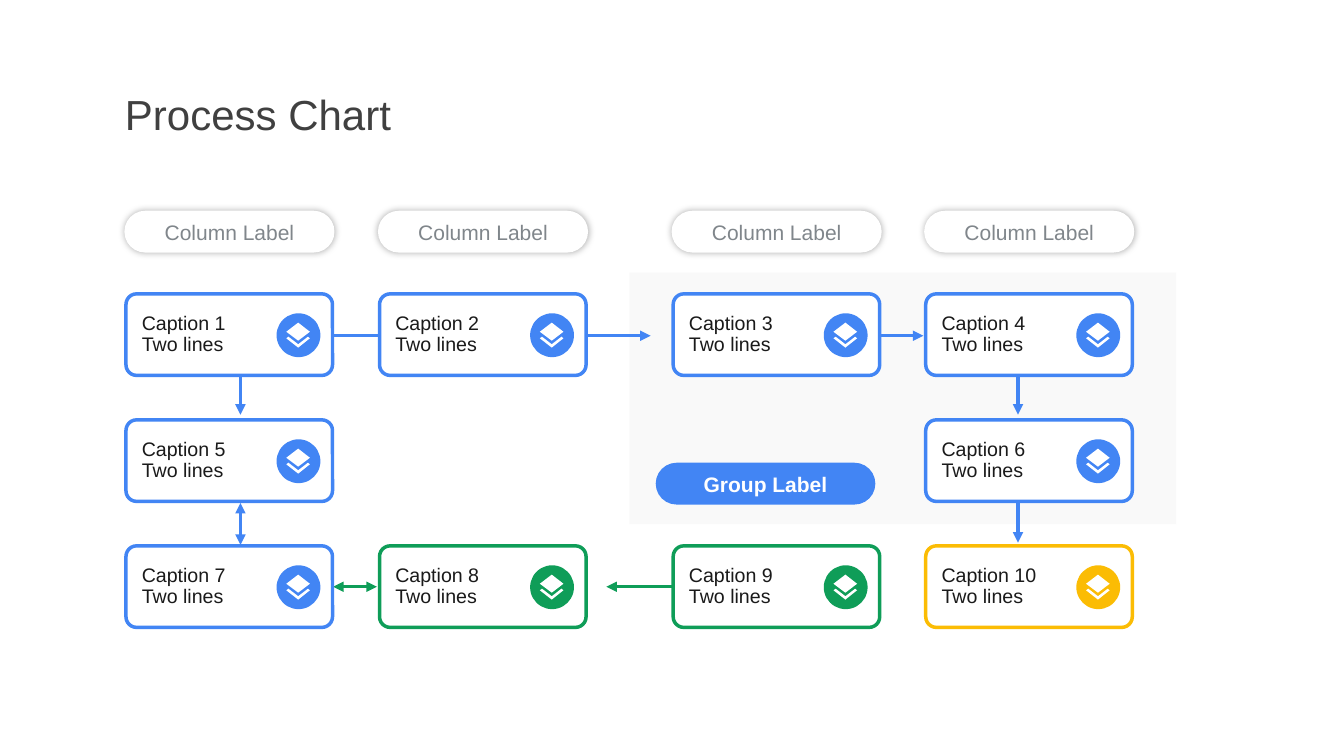
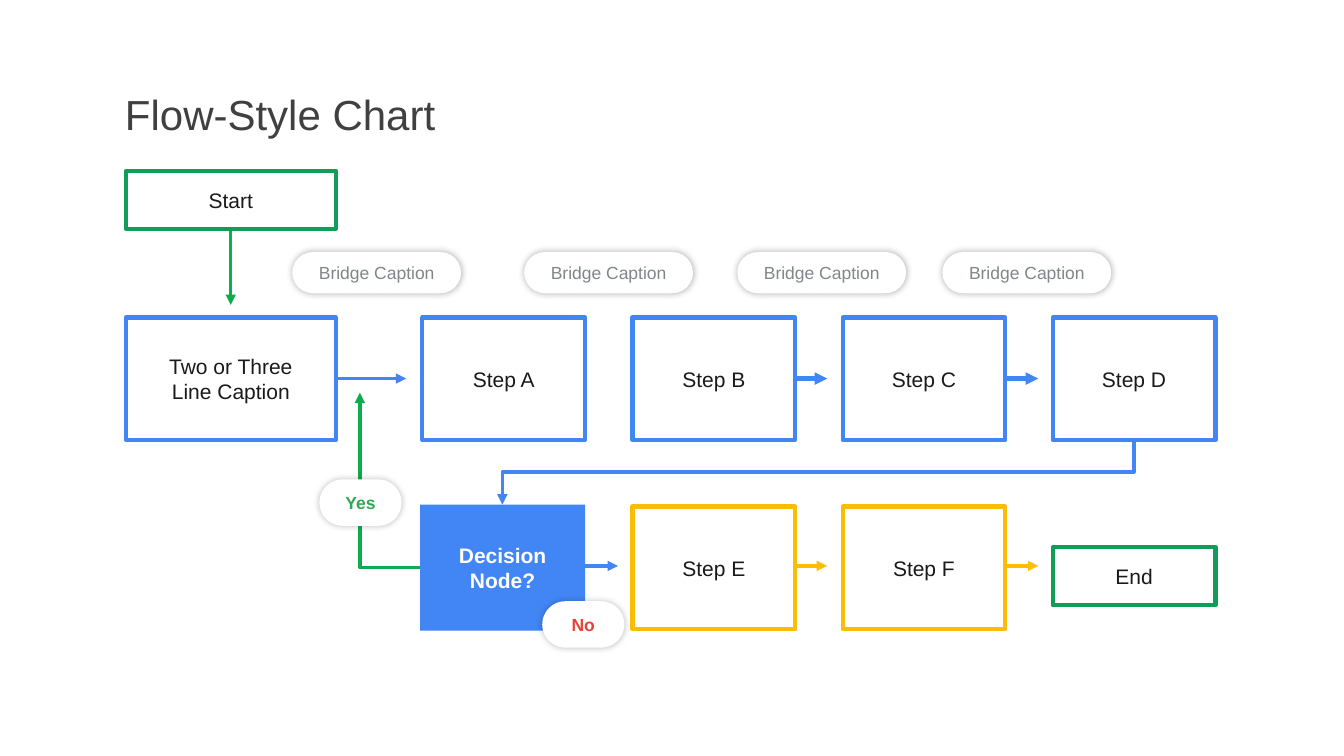
import dataclasses

import lxml.etree
import pptx
import pptx.dml.color
import pptx.enum.shapes
import pptx.enum.text
import pptx.oxml.ns
import pptx.util

Cm = pptx.util.Cm
Pt = pptx.util.Pt
rgb = pptx.dml.color.RGBColor.from_string
qn = pptx.oxml.ns.qn


@dataclasses.dataclass(frozen=True)
class Theme:
    font: str = "Arial"
    white: str = "FFFFFF"
    panel: str = "F9F9F9"
    title: str = "404040"
    ink: str = "1A1A1A"
    muted: str = "80868B"
    blue: str = "4285F4"
    green: str = "0F9D58"
    yellow: str = "FBBC04"
    yellow_arrow: str = "FFBC04"
    green_arrow: str = "0CAD4D"
    yes: str = "31A853"
    no: str = "E94235"
    shadow: str = "000000"
    title_size: int = 60
    label_size: int = 30
    card_size: int = 28
    pill_size: int = 25
    thin: int = 5
    thick: int = 6


THEME = Theme()

# Process chart grid, in centimetres
CARD_LEFTS = [6.35, 19.13, 33.93, 46.66]
CARD_TOP, CARD_PITCH = 14.81, 6.35
CARD_WIDTH, CARD_HEIGHT = 10.41, 4.11
ICON_SIZE = 2.21
ICON_DIAMOND = [(0.6, 0), (1.19, 0.46), (0.6, 0.91), (0, 0.46)]
ICON_CHEVRON = [(0.6, 1.09), (1.09, 0.71), (1.19, 0.79),
                (0.6, 1.26), (0, 0.79), (0.11, 0.71)]

# Flow chart grid, in centimetres
STEP_LEFT, STEP_PITCH = 21.29, 10.59
STEP_WIDTH, STEP_HEIGHT = 8.2, 6.17
STEP_TOP, BRANCH_TOP = 16, 25.53
TERMINAL_HEIGHT = 2.92
START_LEFT, START_WIDTH = 6.35, 10.57


def add_titled_slide(deck, title, width):
    slide = deck.slides.add_slide(deck.slide_layouts[5])
    box = slide.shapes.title
    box.left, box.top, box.width, box.height = Cm(6.3), Cm(4.32), Cm(width), Cm(2.69)
    write(box, title, THEME.title_size, THEME.title, centred=False)
    box.text_frame.vertical_anchor = pptx.enum.text.MSO_ANCHOR.BOTTOM
    box.text_frame.word_wrap = False
    return slide


def write(box, text, size, color, bold=False, centred=True, inset=0, spacing=None):
    frame = box.text_frame
    frame.word_wrap = True
    frame.auto_size = pptx.enum.text.MSO_AUTO_SIZE.NONE
    frame.vertical_anchor = pptx.enum.text.MSO_ANCHOR.MIDDLE
    frame.margin_left = frame.margin_right = Cm(inset)
    frame.margin_top = frame.margin_bottom = Cm(inset)
    para = frame.paragraphs[0]
    para.text = text
    align = pptx.enum.text.PP_ALIGN
    para.alignment = align.CENTER if centred else align.LEFT
    if spacing:
        para.line_spacing = spacing
    para.font.name = THEME.font
    para.font.size = Pt(size)
    para.font.bold = bold
    para.font.color.rgb = rgb(color)


def paint(shape, fill=None, line=None, weight=THEME.thick):
    shape.shadow.inherit = False
    if fill:
        shape.fill.solid()
        shape.fill.fore_color.rgb = rgb(fill)
    else:
        shape.fill.background()
    if line:
        shape.line.color.rgb = rgb(line)
        shape.line.width = Pt(weight)
    else:
        shape.line.fill.background()


def add_box(slide, left, top, width, height, corner=0.0, **look):
    box = slide.shapes.add_shape(pptx.enum.shapes.MSO_SHAPE.ROUNDED_RECTANGLE,
                                 Cm(left), Cm(top), Cm(width), Cm(height))
    box.adjustments[0] = corner
    paint(box, **look)
    return box


def add_glow(shape, opacity):
    """Give the shape a soft, centred 10 pt shadow."""
    effects = shape.element.spPr.find(qn("a:effectLst"))
    shadow = lxml.etree.SubElement(effects, qn("a:outerShdw"),
                                   blurRad=str(int(Pt(10))), dist="0", dir="0",
                                   algn="ctr", rotWithShape="0")
    color = lxml.etree.SubElement(shadow, qn("a:srgbClr"), val=THEME.shadow)
    lxml.etree.SubElement(color, qn("a:alpha"), val=str(opacity * 1000))


def add_pill(slide, left, top, width, height, text, size=THEME.pill_size,
             color=THEME.muted, bold=False, opacity=29):
    pill = add_box(slide, left, top, width, height, 0.5, fill=THEME.white)
    add_glow(pill, opacity)
    write(pill, text, size, color, bold)


def add_heads(shape, head, tail):
    line = shape.element.spPr.find(qn("a:ln"))
    for tag, wanted in (("a:headEnd", head), ("a:tailEnd", tail)):
        if wanted:
            lxml.etree.SubElement(line, qn(tag), type="triangle")


def add_arrow(slide, start, end, color=THEME.blue, weight=THEME.thin,
              both=False, kind=pptx.enum.shapes.MSO_CONNECTOR.STRAIGHT):
    arrow = slide.shapes.add_connector(kind, *(Cm(value) for value in (*start, *end)))
    arrow.line.color.rgb = rgb(color)
    arrow.line.width = Pt(weight)
    add_heads(arrow, both, True)
    lxml.etree.SubElement(arrow.element.spPr, qn("a:effectLst"))
    return arrow


def add_elbow_down(slide, start, end):
    """Leave start downwards, run left, and enter end from above."""
    middle_x, middle_y = (start[0] + end[0]) / 2, (start[1] + end[1]) / 2
    half_drop, half_run = (end[1] - start[1]) / 2, (start[0] - end[0]) / 2
    elbow = add_arrow(slide, (middle_x - half_drop, middle_y - half_run),
                      (middle_x + half_drop, middle_y + half_run),
                      kind=pptx.enum.shapes.MSO_CONNECTOR.ELBOW)
    elbow.element.spPr.find(qn("a:xfrm")).set("rot", "5400000")


def add_outline(slide, contours, left=0, top=0, close=True):
    """Build one freeform from contours given relative to left and top."""
    builder = None
    for contour in contours:
        points = [(Cm(left + x), Cm(top + y)) for x, y in contour]
        if builder is None:
            builder = slide.shapes.build_freeform(*points[0])
        else:
            builder.move_to(*points[0])
        builder.add_line_segments(points[1:], close=close)
    return builder.convert_to_shape()


def add_layers_icon(slide, left, top, color):
    disc = slide.shapes.add_shape(pptx.enum.shapes.MSO_SHAPE.OVAL, Cm(left), Cm(top),
                                  Cm(ICON_SIZE), Cm(ICON_SIZE))
    paint(disc, fill=color)
    glyph = add_outline(slide, [ICON_CHEVRON, ICON_DIAMOND], left + 0.49, top + 0.47)
    paint(glyph, fill=THEME.white)


def add_card(slide, number, column, row, color):
    left, top = CARD_LEFTS[column], CARD_TOP + row * CARD_PITCH
    card = add_box(slide, left, top, CARD_WIDTH, CARD_HEIGHT, 0.13,
                   fill=THEME.white, line=color, weight=THEME.thin)
    write(card, f"Caption {number}\nTwo lines", THEME.card_size, THEME.ink,
          centred=False, inset=0.64, spacing=0.9)
    add_layers_icon(slide, left + 7.59, top + 0.98, color)


def add_node(slide, left, top, width, height, text, color):
    node = add_box(slide, left, top, width, height, fill=THEME.white, line=color)
    write(node, text, THEME.label_size, THEME.ink)


def build_process_chart(deck):
    slide = add_titled_slide(deck, "Process Chart", 13.49)
    add_box(slide, 31.72, 13.74, 27.56, 12.67, fill=THEME.panel)

    first_x, last_x = 12.12, 51.31
    top_y, bottom_y = 16.92, 29.57
    for x, y in ((first_x, 15.67), (last_x, 15.67), (last_x, 22.12)):
        add_arrow(slide, (x, y), (x, y + 5.23))
    for x in (16.79, 29.13, 42.88):
        add_arrow(slide, (x, top_y), (x + 3.66, top_y))
    add_arrow(slide, (34.21, bottom_y), (30.56, bottom_y), THEME.green)
    add_arrow(slide, (first_x, 27.46), (first_x, 25.35), both=True)
    add_arrow(slide, (16.79, bottom_y), (19, bottom_y), THEME.green, both=True)

    for left in CARD_LEFTS:
        add_pill(slide, left - 0.08, 10.62, 10.59, 2.11, "Column Label",
                 THEME.label_size)
    cards = [(0, 0, THEME.blue), (1, 0, THEME.blue), (2, 0, THEME.blue),
             (3, 0, THEME.blue), (0, 1, THEME.blue), (3, 1, THEME.blue),
             (0, 2, THEME.blue), (1, 2, THEME.green), (2, 2, THEME.green),
             (3, 2, THEME.yellow)]
    for number, (column, row, color) in enumerate(cards, start=1):
        add_card(slide, number, column, row, color)

    group = add_box(slide, 33.05, 23.32, 11.07, 2.11, 0.5, fill=THEME.blue)
    write(group, "Group Label", THEME.label_size, THEME.white, bold=True)


def build_flow_chart(deck):
    slide = add_titled_slide(deck, "Flow-Style Chart", 15.93)
    add_arrow(slide, (11.63, 10.85), (11.63, 15.37), THEME.green_arrow)
    step_y, branch_y = 19.08, 28.52
    for x, y, color, weight in (
            (13.82, step_y, THEME.blue, THEME.thin),
            (35.03, step_y, THEME.blue, THEME.thick),
            (45.67, step_y, THEME.blue, THEME.thick),
            (24.49, branch_y, THEME.blue, THEME.thin),
            (35.03, branch_y, THEME.yellow_arrow, THEME.thin),
            (45.67, branch_y, THEME.yellow_arrow, THEME.thin)):
        add_arrow(slide, (x, y), (x + 6.66, y), color, weight)

    add_node(slide, START_LEFT, 8.61, START_WIDTH, TERMINAL_HEIGHT, "Start", THEME.green)
    add_node(slide, START_LEFT, STEP_TOP, START_WIDTH, STEP_HEIGHT,
             "Two or Three\nLine Caption", THEME.blue)
    steps = [("A", 0, STEP_TOP, THEME.blue), ("B", 1, STEP_TOP, THEME.blue),
             ("C", 2, STEP_TOP, THEME.blue), ("D", 3, STEP_TOP, THEME.blue),
             ("E", 1, BRANCH_TOP, THEME.yellow), ("F", 2, BRANCH_TOP, THEME.yellow)]
    for letter, column, top, color in steps:
        add_node(slide, STEP_LEFT + column * STEP_PITCH, top, STEP_WIDTH, STEP_HEIGHT,
                 f"Step {letter}", color)
    add_node(slide, STEP_LEFT + 3 * STEP_PITCH, 27.58, STEP_WIDTH, TERMINAL_HEIGHT,
             "End", THEME.green)
    decision = add_box(slide, 21.18, 25.43, 8.31, 6.35, fill=THEME.blue)
    write(decision, "Decision\nNode?", THEME.label_size, THEME.white, bold=True)

    add_elbow_down(slide, (57.15, 22.15), (25.32, 25.43))
    yes_branch = add_outline(slide, [[(18.14, 19.79), (18.14, 28.6), (21.18, 28.6)]],
                             close=False)
    paint(yes_branch, line=THEME.green_arrow, weight=THEME.thin)
    add_heads(yes_branch, True, False)

    for left in (14.73, 26.42, 37.16, 47.5):
        add_pill(slide, left, 12.7, 8.51, 2.08, "Bridge Caption")
    for left, top, answer, color in ((16.1, 24.16, "Yes", THEME.yes),
                                     (27.33, 30.3, "No", THEME.no)):
        add_pill(slide, left, top, 4.14, 2.34, answer, color=color, bold=True,
                 opacity=25)


def main():
    deck = pptx.Presentation()
    deck.slide_width, deck.slide_height = Cm(67.74), Cm(38.1)
    build_process_chart(deck)
    build_flow_chart(deck)
    deck.save("out.pptx")


if __name__ == "__main__":
    main()
